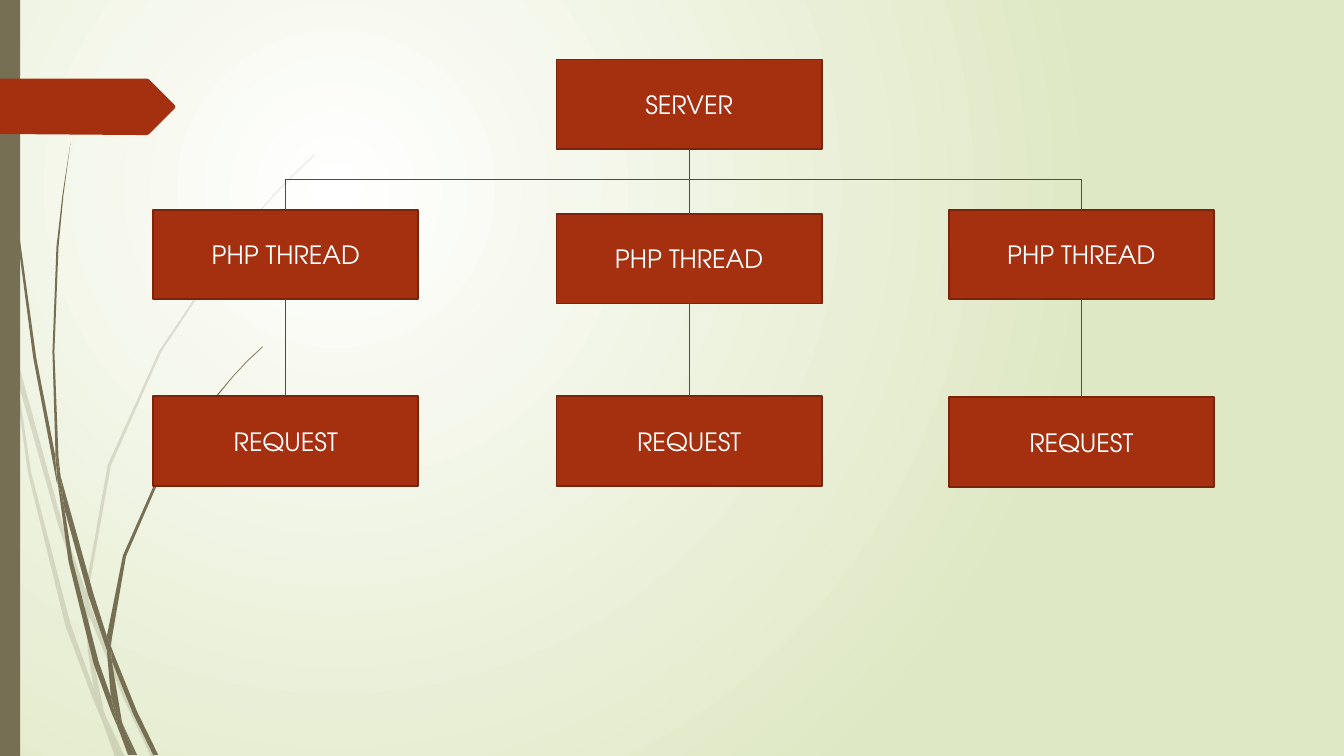
from dataclasses import dataclass

from lxml import etree
from pptx import Presentation
from pptx import util as u
from pptx.dml.color import RGBColor
from pptx.enum import shapes, text
from pptx.oxml.ns import qn


@dataclass(frozen=True)
class Theme:
    glow: str = "FFFFFF"
    meadow: str = "DFE8C4"
    stem: str = "766F54"
    accent: str = "A53010"
    border: str = "7A240C"
    link: str = "9E2E0F"
    label: str = "FFFFFF"
    font: str = "TeX Gyre Adventor"
    label_size: float = 18
    border_width: float = 1.25
    link_width: float = 0.75


@dataclass(frozen=True)
class Node:
    """A box of the tree; left and top are percentages of the slide."""
    label: str
    left: float
    top: float


@dataclass(frozen=True)
class Plant:
    """Stems drawn as outlines of (x, y) knots on the ornament grid."""
    opacity: int
    stems: tuple


THEME = Theme()
WIDTH, HEIGHT = u.Inches(13.33), u.Inches(7.5)
GRID = HEIGHT // 750  # ornament grid: 750 rows on the slide
NODE_WIDTH, NODE_HEIGHT = 19.73, 11.87
LEFT, MIDDLE, RIGHT = 11.4, 41.41, 70.59
TOP, BOTTOM = 0, 2  # connection sites of a box

SERVER = Node("SERVER", MIDDLE, 7.87)
BRANCHES = (
    (Node("PHP THREAD", LEFT, 27.73), Node("REQUEST", LEFT, 52.4)),
    (Node("PHP THREAD", MIDDLE, 28.27), Node("REQUEST", MIDDLE, 52.4)),
    (Node("PHP THREAD", RIGHT, 27.73), Node("REQUEST", RIGHT, 52.53)),
)

PALE_PLANT = Plant(20, (
    ((11, 350), (9, 322), (0, 282), (0, 299), (10, 344)),
    ((58, 522), (84, 599), (85, 586), (62, 520), (14, 345), (17, 376)),
    ((92, 607), (88, 596), (88, 610), (123, 694), (150, 751), (155, 751),
     (127, 692)),
    ((119, 751), (124, 751), (105, 711)),
    ((93, 683), (70, 619), (31, 469), (17, 376), (11, 350), (28, 470),
     (65, 621), (92, 693), (101, 714), (99, 707)),
    ((84, 599), (87, 646), (93, 683), (96, 692), (105, 711), (103, 706),
     (91, 646), (88, 610), (88, 608)),
    ((88, 584), (110, 462), (160, 349), (229, 245), (268, 198), (290, 175),
     (312, 154), (312, 153), (289, 175), (268, 197), (228, 244), (158, 348),
     (107, 461), (85, 584), (85, 586), (88, 596)),
    ((101, 714), (114, 751), (119, 751)),
    ((88, 608), (88, 610), (88, 596), (85, 586), (84, 599)),
    ((96, 692), (93, 683), (99, 707), (101, 714), (119, 751), (105, 711)),
))
DARK_PLANT = Plant(100, (
    ((7, 110), (17, 233), (33, 355), (56, 477), (57, 481), (55, 457),
     (55, 453), (36, 355), (19, 232), (8, 109), (5, 48), (4, 0), (3, 0),
     (4, 48)),
    ((88, 592), (106, 645), (106, 633), (106, 631), (93, 590), (60, 472),
     (64, 505)),
    ((113, 649), (110, 641), (111, 656), (132, 708), (152, 749), (157, 749),
     (136, 706)),
    ((110, 691), (98, 657), (72, 556), (64, 505), (57, 477), (68, 557),
     (93, 659), (111, 708), (117, 722), (116, 717)),
    ((60, 472), (58, 453), (54, 349), (58, 245), (63, 193), (70, 141),
     (62, 193), (56, 245), (52, 349), (55, 449)),
    ((133, 749), (136, 749), (122, 719)),
    ((57, 477), (64, 505), (60, 472), (55, 449), (55, 453)),
    ((111, 633), (125, 552), (158, 476), (205, 406), (231, 374), (245, 359),
     (261, 344), (260, 344), (245, 358), (231, 373), (204, 405), (156, 474),
     (122, 551), (106, 631), (110, 641)),
    ((117, 722), (127, 749), (131, 749)),
    ((106, 645), (110, 691), (116, 706), (122, 719), (121, 716), (111, 656),
     (109, 651)),
    ((106, 645), (109, 651), (111, 656), (110, 641), (106, 631), (106, 633)),
    ((116, 706), (110, 691), (116, 717), (117, 722), (130, 749), (133, 749),
     (122, 719)),
))
BANNER = ((173, 108), (148, 133), (146, 134), (136, 134), (0, 133), (0, 78),
          (146, 78), (148, 79), (173, 104), (174, 106))


def across(percent: float) -> int:
    return round(WIDTH * percent / 100)


def down(percent: float) -> int:
    return round(HEIGHT * percent / 100)


def paint(shape, color: str, opacity: int = 100) -> None:
    shape.shadow.inherit = False
    shape.fill.solid()
    shape.fill.fore_color.rgb = RGBColor.from_string(color)
    shape.line.fill.background()
    if opacity < 100:
        tint = shape.element.spPr.find(qn("a:solidFill"))[0]
        etree.SubElement(tint, qn("a:alpha"), val=str(opacity * 1000))


def draw_outline(canvas, knots: tuple, color: str, opacity: int = 100) -> None:
    builder = canvas.build_freeform(*knots[0], scale=GRID)
    builder.add_line_segments(knots[1:], close=True)
    paint(builder.convert_to_shape(), color, opacity)


def draw_plant(slide, plant: Plant) -> None:
    group = slide.shapes.add_group_shape()
    for stem in plant.stems:
        draw_outline(group.shapes, stem, THEME.stem, plant.opacity)


def draw_node(slide, node: Node):
    box = slide.shapes.add_shape(
        shapes.MSO_SHAPE.RECTANGLE, across(node.left), down(node.top),
        across(NODE_WIDTH), down(NODE_HEIGHT))
    paint(box, THEME.accent)
    box.line.color.rgb = RGBColor.from_string(THEME.border)
    box.line.width = u.Pt(THEME.border_width)
    box.text_frame.text = node.label
    box.text_frame.vertical_anchor = text.MSO_ANCHOR.MIDDLE
    label = box.text_frame.paragraphs[0]
    label.alignment = text.PP_ALIGN.CENTER
    font = label.runs[0].font
    font.name, font.size = THEME.font, u.Pt(THEME.label_size)
    font.color.rgb = RGBColor.from_string(THEME.label)
    return box


def draw_link(slide, parent, child) -> None:
    """Join a box to the one below by an elbow that leaves downwards."""
    link = slide.shapes.add_connector(shapes.MSO_CONNECTOR.ELBOW, 0, 0, 0, 0)
    link.begin_connect(parent, BOTTOM)
    link.end_connect(child, TOP)
    start_x, start_y = parent.left + parent.width // 2, parent.top + parent.height
    run, drop = child.left + child.width // 2 - start_x, child.top - start_y
    # The frame is turned a quarter, so its sides swap
    link.width, link.height = drop, abs(run)
    link.left = start_x + (run - drop) // 2
    link.top = start_y + (drop - abs(run)) // 2
    frame = link.element.spPr.find(qn("a:xfrm"))
    frame.set("rot", str((270 if run > 0 else 90) * 60000))
    frame.set("flipH", "1" if run > 0 else "0")
    frame.set("flipV", "0")
    link.line.color.rgb = RGBColor.from_string(THEME.link)
    link.line.width = u.Pt(THEME.link_width)
    etree.SubElement(link.element.spPr, qn("a:effectLst"))


def draw_background(slide) -> None:
    fill = slide.background.fill
    fill.gradient()
    for stop, color in zip(fill.gradient_stops, (THEME.glow, THEME.meadow)):
        stop.color.rgb = RGBColor.from_string(color)
    linear = next(slide.element.iter(qn("a:lin")))
    radial = etree.Element(qn("a:path"), {"path": "circle"})
    etree.SubElement(radial, qn("a:fillToRect"),
                     l="50000", t="50000", r="100000", b="100000")
    linear.getparent().replace(linear, radial)


def main() -> None:
    deck = Presentation()
    deck.slide_width, deck.slide_height = WIDTH, HEIGHT
    slide = deck.slides.add_slide(deck.slide_layouts[6])

    # Backdrop and ornaments
    draw_background(slide)
    for plant in (PALE_PLANT, DARK_PLANT):
        draw_plant(slide, plant)
    edge = slide.shapes.add_shape(
        shapes.MSO_SHAPE.RECTANGLE, 0, 0, across(1.5), HEIGHT)
    paint(edge, THEME.stem)
    draw_outline(slide.shapes, BANNER, THEME.accent)

    # Tree of server, threads and requests
    server = draw_node(slide, SERVER)
    for branch in BRANCHES:
        thread, request = (draw_node(slide, node) for node in branch)
        draw_link(slide, server, thread)
        draw_link(slide, thread, request)

    deck.save("out.pptx")


if __name__ == "__main__":
    main()
